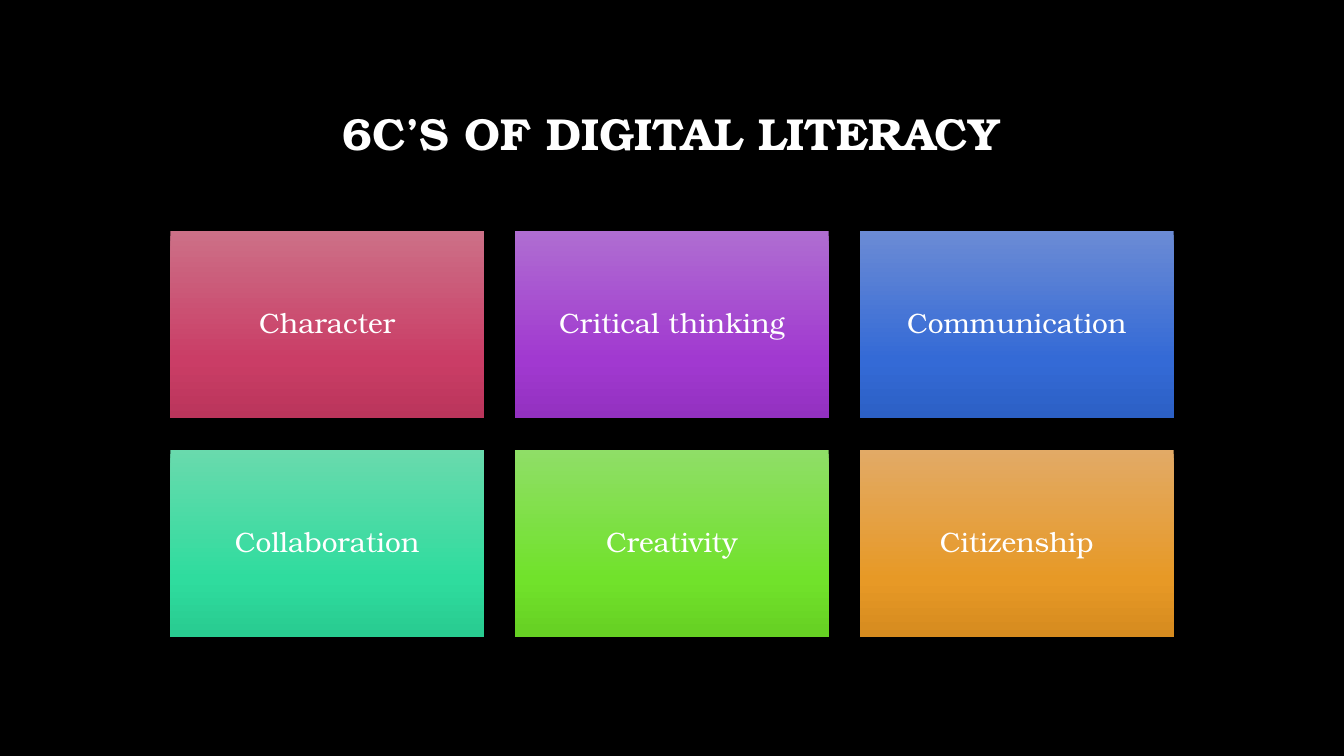
from copy import deepcopy
from dataclasses import dataclass

from pptx import Presentation
from pptx.dml.color import RGBColor
from pptx.enum.shapes import MSO_SHAPE
from pptx.enum.text import MSO_ANCHOR, PP_ALIGN
from pptx.oxml.ns import qn
from pptx.util import Inches, Pt

RECTANGLE = MSO_SHAPE.RECTANGLE
MIDDLE = MSO_ANCHOR.MIDDLE
CENTER = PP_ALIGN.CENTER


@dataclass(frozen=True)
class Theme:
    font: str = "TeX Gyre Bonum"
    background: str = "000000"
    text: str = "FFFFFF"
    title_size: int = 32
    card_size: int = 20
    line_spacing: float = 0.9
    gradient_positions: tuple = (0, 0.69, 1)
    card_gradients: tuple = (
        ("CC7087", "CA3D66", "BA355B"),
        ("AF6DD1", "A139D0", "9331C0"),
        ("6B8BD5", "346AD6", "2C60C5"),
        ("69DAAD", "2FDC9E", "28CB90"),
        ("8FDE67", "71E22B", "66D023"),
        ("E2AA66", "E79926", "D68B1F"),
    )


class SlideBuilder:
    def __init__(self, slide, theme):
        self.slide = slide
        self.theme = theme
        background = slide.background.fill
        background.solid()
        background.fore_color.rgb = RGBColor.from_string(theme.background)

    def set_label(self, frame, text, size, bold=False):
        frame.text = text
        frame.word_wrap = True
        frame.vertical_anchor = MIDDLE
        paragraph = frame.paragraphs[0]
        paragraph.alignment = CENTER
        paragraph.line_spacing = self.theme.line_spacing
        font = paragraph.runs[0].font
        font.name = self.theme.font
        font.size = Pt(size)
        font.bold = bold
        font.color.rgb = RGBColor.from_string(self.theme.text)

    def title(self, text, left, top, width, height):
        heading = self.slide.shapes.add_textbox(
            Inches(left), Inches(top), Inches(width), Inches(height)
        )
        self.set_label(heading.text_frame, text, self.theme.title_size, bold=True)

    def card(self, text, gradient, left, top, width, height):
        card = self.slide.shapes.add_shape(
            RECTANGLE, Inches(left), Inches(top), Inches(width), Inches(height)
        )
        card.shadow.inherit = False
        card.line.fill.background()
        self.fill_gradient(card, gradient)
        frame = card.text_frame
        frame.margin_left = frame.margin_right = Inches(0.08)
        frame.margin_top = frame.margin_bottom = Inches(0.08)
        self.set_label(frame, text, self.theme.card_size)

    def fill_gradient(self, card, gradient):
        card.fill.gradient()
        card.fill.gradient_angle = 270
        stop_list = card._element.spPr.find(qn("a:gradFill")).find(qn("a:gsLst"))
        stop_list.append(deepcopy(stop_list[0]))
        stops = card.fill.gradient_stops
        for stop, position, color in zip(stops, self.theme.gradient_positions, gradient):
            stop.position = position
            stop.color.rgb = RGBColor.from_string(color)


def main():
    presentation = Presentation()
    presentation.slide_width = Inches(13.33)
    presentation.slide_height = Inches(7.5)
    theme = Theme()
    slide = presentation.slides.add_slide(presentation.slide_layouts[6])
    builder = SlideBuilder(slide, theme)

    builder.title("6C’S OF DIGITAL LITERACY", 1, 0.62, 11.32, 1.45)

    skills = (
        "Character",
        "Critical thinking",
        "Communication",
        "Collaboration",
        "Creativity",
        "Citizenship",
    )
    columns = 3
    grid_left, grid_top = 1.69, 2.29
    card_width, card_height, gap = 3.11, 1.86, 0.31
    for index, (skill, gradient) in enumerate(zip(skills, theme.card_gradients)):
        row, column = divmod(index, columns)
        left = grid_left + column * (card_width + gap)
        top = grid_top + row * (card_height + gap)
        builder.card(skill, gradient, left, top, card_width, card_height)

    presentation.save("out.pptx")


if __name__ == "__main__":
    main()
